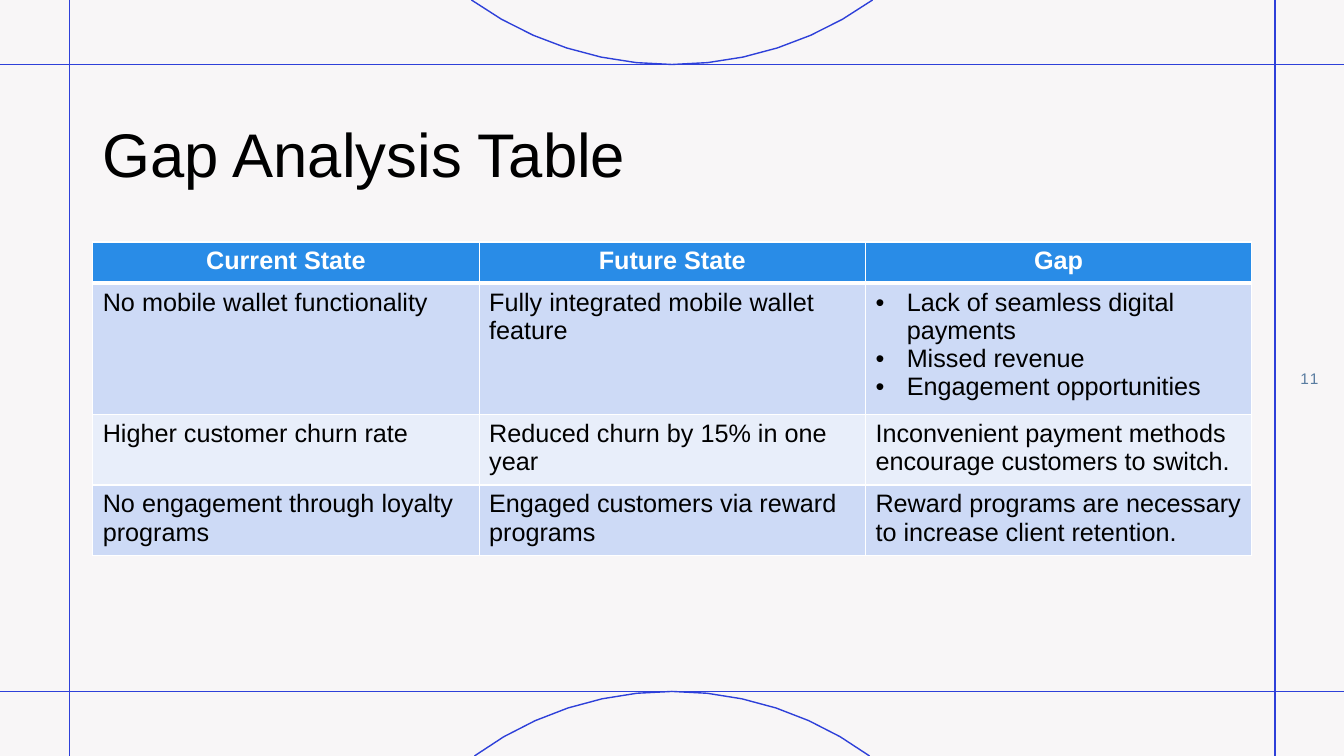
import math

from lxml import etree
from pptx import Presentation
from pptx import util as u
from pptx.dml.color import RGBColor
from pptx.enum import shapes, text
from pptx.oxml import ns

WIDTH, HEIGHT = u.Inches(40 / 3), u.Inches(7.5)
PAPER = RGBColor(0xF8, 0xF6, 0xF7)
RULE = RGBColor(0x2E, 0x40, 0xD9)
HEADER = RGBColor(0x29, 0x8C, 0xE7)
BANDS = RGBColor(0xCD, 0xDA, 0xF6), RGBColor(0xE8, 0xEE, 0xFA)
BLACK = RGBColor(0, 0, 0)
WHITE = RGBColor(0xFF, 0xFF, 0xFF)
NUMBER = RGBColor(0x5A, 0x7D, 0xA1)

TOP, BOTTOM = u.Inches(0.64), u.Inches(6.86)
LEFT, RIGHT = u.Inches(0.69), u.Inches(12.65)
ARC_STEPS = 12
ROW_HEIGHTS = [u.Inches(height) for height in (0.41, 1.22, 0.66, 0.66)]
BULLET_INDENT = u.Inches(0.31)

HEADINGS = ["Current State", "Future State", "Gap"]
GAPS = [
    ["No mobile wallet functionality",
     "Fully integrated mobile wallet feature",
     ["Lack of seamless digital payments", "Missed revenue", "Engagement opportunities"]],
    ["Higher customer churn rate",
     "Reduced churn by 15% in one year",
     "Inconvenient payment methods encourage customers to switch."],
    ["No engagement through loyalty programs",
     "Engaged customers via reward programs",
     "Reward programs are necessary to increase client retention."],
]


def write(paragraph, words, color, align=text.PP_ALIGN.LEFT, **formats):
    """Write one run into a paragraph with the given font values."""
    paragraph.alignment = align
    run = paragraph.add_run()
    run.text = words
    for name, value in {"name": "Arial", **formats}.items():
        setattr(run.font, name, value)
    run.font.color.rgb = color
    return run


def draw_rule(slide, start, end):
    """Draw one straight frame rule."""
    rule = slide.shapes.add_connector(shapes.MSO_CONNECTOR.STRAIGHT, *start, *end)
    rule.line.color.rgb = RULE
    rule.line.width = u.Pt(1)
    etree.SubElement(rule._element.spPr, ns.qn("a:effectLst"))


def draw_arc(slide, half_chord, edge, crest):
    """Draw a circular arc from the slide edge to its crest and back."""
    sag = abs(crest - edge)
    radius = (half_chord ** 2 + sag ** 2) / (2 * sag)
    sweep = math.asin(half_chord / radius)
    toward_edge = 1 if edge > crest else -1
    angles = [sweep * (2 * step / ARC_STEPS - 1) for step in range(ARC_STEPS + 1)]
    points = [(round(WIDTH / 2 + radius * math.sin(angle)),
               round(crest + toward_edge * radius * (1 - math.cos(angle))))
              for angle in angles]
    builder = slide.shapes.build_freeform(*points[0])
    builder.add_line_segments(points[1:], close=False)
    arc = builder.convert_to_shape()
    arc.shadow.inherit = False
    arc.fill.background()
    arc.line.color.rgb = RULE
    arc.line.width = u.Pt(1)


def draw_frame(slide):
    """Draw the paper, the four rules and the two arcs."""
    paper = slide.shapes.add_shape(shapes.MSO_SHAPE.RECTANGLE, 0, 0, WIDTH, HEIGHT)
    paper.shadow.inherit = False
    paper.fill.solid()
    paper.fill.fore_color.rgb = PAPER
    paper.line.fill.background()
    for y in (BOTTOM, TOP):
        draw_rule(slide, (0, y), (WIDTH, y))
    for x in (RIGHT, LEFT):
        draw_rule(slide, (x, HEIGHT), (x, 0))
    draw_arc(slide, u.Inches(1.99), 0, TOP)
    draw_arc(slide, u.Inches(1.96), HEIGHT, BOTTOM)


def add_label(slide, box, words, color, **formats):
    """Place one vertically centred line of text in a box."""
    frame = slide.shapes.add_textbox(*box).text_frame
    frame.word_wrap = True
    frame.vertical_anchor = text.MSO_ANCHOR.MIDDLE
    return write(frame.paragraphs[0], words, color, **formats)


def style_cell(cell, fill, top_width, bottom_width):
    """Give a cell its white borders and its fill."""
    properties = cell._tc.get_or_add_tcPr()
    for side, width in {"L": 1, "R": 1, "T": top_width, "B": bottom_width}.items():
        border = etree.SubElement(properties, ns.qn(f"a:ln{side}"), w=str(u.Pt(width)))
        solid = etree.SubElement(border, ns.qn("a:solidFill"))
        etree.SubElement(solid, ns.qn("a:srgbClr"), val=str(WHITE))
    cell.fill.solid()
    cell.fill.fore_color.rgb = fill


def add_bullet(paragraph):
    """Give a paragraph a hanging bullet."""
    properties = paragraph._p.get_or_add_pPr()
    properties.set("marL", str(BULLET_INDENT))
    properties.set("indent", str(-BULLET_INDENT))
    etree.SubElement(properties, ns.qn("a:buFont"), typeface="Arial")
    etree.SubElement(properties, ns.qn("a:buChar"), char="•")


def add_gap_table(slide, left, top, width):
    """Fill the gap analysis table with its headings and banded rows."""
    rows = [HEADINGS, *GAPS]
    table = slide.shapes.add_table(
        len(rows), len(HEADINGS), left, top, width, sum(ROW_HEIGHTS)).table
    for row_index, row in enumerate(rows):
        table.rows[row_index].height = ROW_HEIGHTS[row_index]
        heading = row_index == 0
        fill = HEADER if heading else BANDS[(row_index - 1) % 2]
        color = WHITE if heading else BLACK
        align = text.PP_ALIGN.CENTER if heading else text.PP_ALIGN.LEFT
        for column_index, content in enumerate(row):
            cell = table.cell(row_index, column_index)
            style_cell(cell, fill, 3 if row_index == 1 else 1, 3 if heading else 1)
            bulleted = isinstance(content, list)
            for index, words in enumerate(content if bulleted else [content]):
                frame = cell.text_frame
                paragraph = frame.add_paragraph() if index else frame.paragraphs[0]
                write(paragraph, words, color, align, size=u.Pt(18), bold=heading)
                if bulleted:
                    add_bullet(paragraph)


def build_gap_slide(deck):
    """Compose the gap analysis slide."""
    slide = deck.slides.add_slide(deck.slide_layouts[6])
    draw_frame(slide)
    left, width = u.Inches(0.92), u.Inches(11.5)
    add_label(slide, (left, u.Inches(0.79), width, u.Inches(1.45)),
              "Gap Analysis Table", BLACK, size=u.Pt(44))
    add_gap_table(slide, left, u.Inches(2.4), width)
    page = add_label(slide, (RIGHT, u.Inches(3.55), WIDTH - RIGHT, u.Inches(0.4)),
                     "11", NUMBER, align=text.PP_ALIGN.CENTER, size=u.Pt(11))
    page._r.get_or_add_rPr().set("spc", "150")


def main():
    """Build and save the deck."""
    deck = Presentation()
    deck.slide_width, deck.slide_height = WIDTH, HEIGHT
    build_gap_slide(deck)
    deck.save("out.pptx")


if __name__ == "__main__":
    main()
